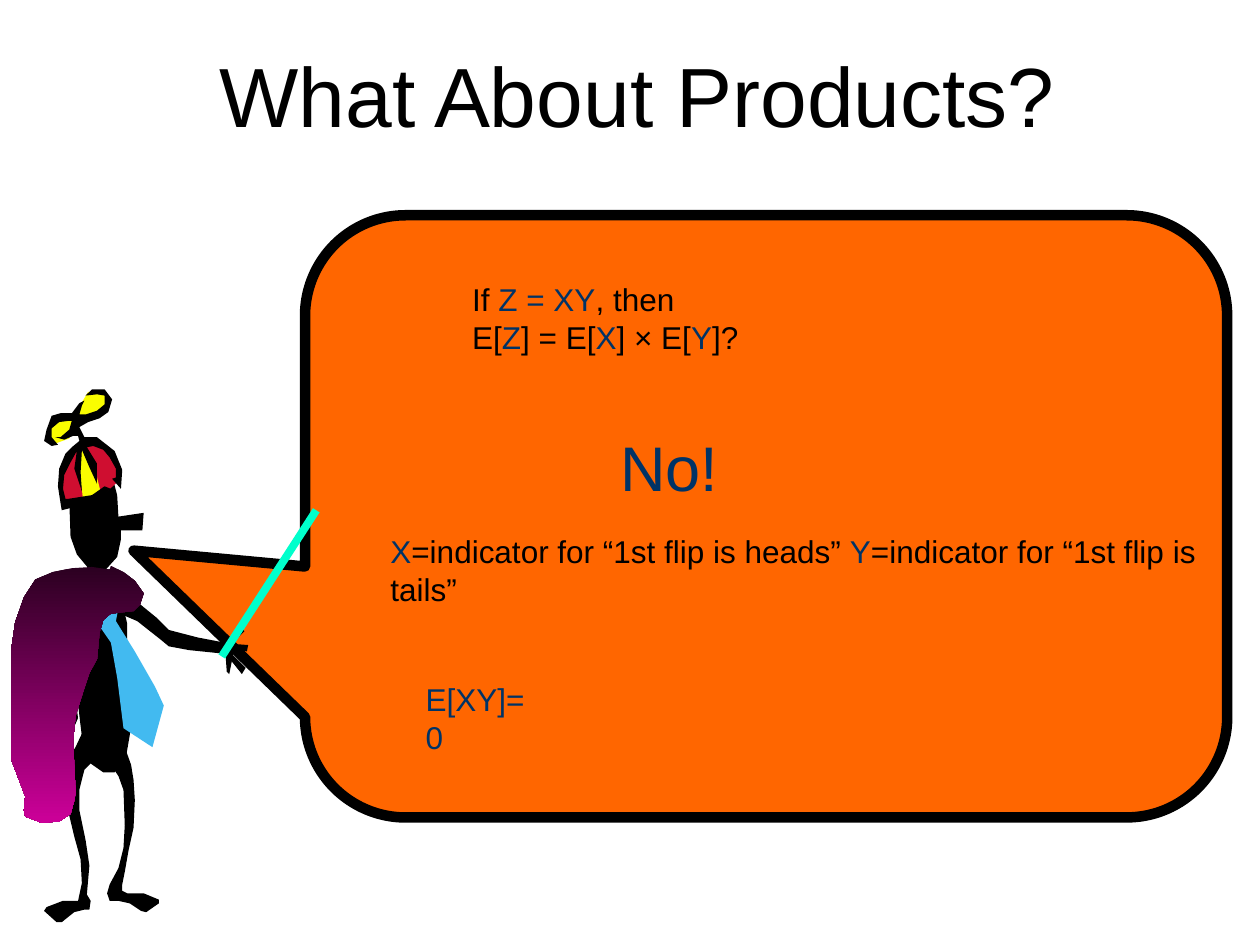
from collections import namedtuple
from dataclasses import dataclass

from lxml.etree import SubElement
from pptx import Presentation
from pptx.dml.color import RGBColor
from pptx.enum.shapes import MSO_CONNECTOR, MSO_SHAPE
from pptx.enum.text import MSO_ANCHOR, MSO_AUTO_SIZE, PP_ALIGN
from pptx.oxml.ns import qn
from pptx.util import Cm, Pt


@dataclass(frozen=True)
class Theme:
    font: str = "Arial"
    head: int = 48
    shout: int = 36
    body: int = 18
    black: str = "000000"
    ink: str = "003366"
    orange: str = "FF6600"
    blue: str = "42BAF0"
    red: str = "CF0E30"
    yellow: str = "FAFD00"
    wand: str = "00FFCC"
    dusk: str = "2B0020"
    pink: str = "CC0099"


THEME = Theme()
Box = namedtuple("Box", "left top width height")

# Outlines on a grid that is 200 units as wide as the figure's box
GRID = 200
HEAD = """94,110 93,93 88,74 80,67 71,67 60,77 55,98 56,126 61,140 71,152 84,152
    93,142 96,128 96,121 113,121 114,107"""
TRUNK = """62,185 66,169 74,166 85,166 96,174 101,195 101,209 105,240 104,278
    100,301 91,313 82,313 72,306 66,292 64,276 62,259 62,216"""
BACK_ARM = """55,178 64,167 71,166 73,171 69,184 63,192 54,197 48,209 41,222 40,232
    42,238 49,250 59,259 61,262 62,270 58,279 51,286 51,300 47,300 45,290 45,280
    50,270 52,267 52,263 45,256 37,247 33,237 30,223 33,215 42,199 49,186"""
FRONT_ARM = """87,170 93,169 108,177 124,190 134,200 157,206 178,210 183,206 191,197
    194,201 184,211 197,212 196,217 186,216 185,220 195,230 192,235 184,225 182,235
    180,233 179,219 150,216 134,213 128,208 109,193 95,187 93,177"""
BACK_LEG = """60,293 68,276 79,283 79,299 75,303 67,311 63,327 63,343 68,367 71,387
    69,410 72,415 71,422 67,422 59,424 49,432 45,432 35,423 37,420 50,415 62,415
    65,401 64,382 59,364 54,343 51,325 51,312 55,301"""
FRONT_LEG = """90,284 99,293 104,307 106,319 107,335 106,357 102,375 99,392 97,402
    97,407 101,409 114,409 126,414 126,417 116,424 112,423 103,417 94,415 87,415
    85,409 87,402 94,389 98,373 99,355 98,327 94,316 88,307 84,293"""
TIE = """92,193 107,217 123,245 130,260 121,293 98,278 93,238 88,210 79,197 69,187
    74,174 89,171 95,177"""
KNOT = "84,198 73,187 74,176 89,174 93,180"
FOLD = "86,200 91,196 124,258 119,287 102,275 98,247 92,217"
CAP = """94,82 94,75 92,65 86,58 78,51 71,51 66,51 60,54 53,65 48,77 48,91 51,101
    66,98 74,97 84,91"""
STRIPE = "80,91 76,75 67,56 64,52 61,71 65,88 66,98 75,98"
BLADES = """62,32 74,31 83,25 87,20 83,12 77,11 70,11 64,21 55,31 48,32 40,38 39,51
    44,52 55,48"""
CAP_EDGE = """96,88 97,73 91,58 77,47 67,47 63,39 70,35 79,32 86,27 89,17 83,9 73,9
    68,14 77,13 83,14 83,21 77,26 68,29 63,29 65,22 67,18 63,20 57,28 48,28 41,30
    37,41 35,50 41,54 46,53 41,47 41,40 47,35 55,34 57,34 55,41 48,47 44,47 51,49
    58,46 62,46 63,50 57,55 52,60 47,72 46,86 48,99 49,105 77,98 88,88 83,86 73,93
    54,96 52,96 50,88 51,77 56,67 61,58 59,72 65,90 64,75 65,57 71,71 77,84 77,68
    69,55 74,54 82,57 87,63 92,72 92,79 89,80"""
CAPE = """87,152 73,150 57,151 42,154 28,160 19,174 12,194 9,215 9,303 20,332 19,343
    20,348 28,351 33,353 47,352 56,346 59,335 60,329 58,288 60,268 66,249 71,234
    77,223 79,202 82,192 88,187 106,185 111,180 114,171 107,161 98,154 88,149"""
PARTS = [
    *((part, THEME.black)
      for part in (HEAD, TRUNK, BACK_ARM, FRONT_ARM, BACK_LEG, FRONT_LEG)),
    *((part, THEME.blue) for part in (TIE, KNOT, FOLD)),
    (CAP, THEME.red),
    (STRIPE, THEME.yellow),
    (BLADES, THEME.yellow),
    (CAP_EDGE, THEME.black),
]


def tint(code):
    return RGBColor.from_string(code)


def paint(item, code):
    item.fill.solid()
    item.fill.fore_color.rgb = tint(code)


def write(shape, text, size, color=THEME.black, wrap=False):
    """Fill a shape with text; parts between asterisks take the ink colour."""
    frame = shape.text_frame
    frame.word_wrap = wrap
    frame.auto_size = MSO_AUTO_SIZE.SHAPE_TO_FIT_TEXT
    frame.vertical_anchor = MSO_ANCHOR.TOP
    para = frame.paragraphs[0]
    para.alignment = PP_ALIGN.LEFT
    para.font.name = THEME.font
    para.font.size = Pt(size)
    para.font.color.rgb = tint(color)
    for i, part in enumerate(text.split("*")):
        for j, line in enumerate(part.split("\n")):
            if j:
                para.add_line_break()
            if line:
                run = para.add_run()
                run.text = line
                if i % 2:
                    run.font.color.rgb = tint(THEME.ink)


def add_title(slide, box):
    title = slide.shapes.title
    title.left, title.top, title.width, title.height = box
    write(title, "What About Products?", THEME.head)


def add_bubble(slide, box):
    shape = slide.shapes.add_shape(MSO_SHAPE.ROUNDED_RECTANGULAR_CALLOUT, *box)
    shape.shadow.inherit = False
    for i, value in enumerate((-0.686, 0.057, 0.167)):
        shape.adjustments[i] = value
    paint(shape, THEME.orange)
    shape.line.color.rgb = tint(THEME.black)
    shape.line.width = Pt(6)


def add_words(slide, box):
    def put(x, y, width, height, *args, **kwargs):
        spot = slide.shapes.add_textbox(
            box.left + Cm(x), box.top + Cm(y), Cm(width), Cm(height))
        write(spot, *args, **kwargs)

    put(3.12, 1.19, 5.87, 1.78,
        "If *Z = XY*, then \nE[*Z*] = E[*X*] × E[*Y*]?", THEME.body)
    put(6.1, 4.17, 2.49, 1.78, "No!", THEME.shout, THEME.ink)
    put(1.47, 6.27, 16.76, 1.78,
        "*X*=indicator for “1st flip is heads” *Y*=indicator for “1st flip is tails”",
        THEME.body, wrap=True)
    put(2.18, 9.25, 2.84, 1.02, "E[XY]=0", THEME.body, THEME.ink)


def add_figure(slide, box):
    unit = box.width / GRID

    def trace(text):
        dots = [tuple(map(int, pair.split(","))) for pair in text.split()]
        pen = slide.shapes.build_freeform(*dots[0], scale=unit)
        pen.add_line_segments(dots[1:], close=True)
        shape = pen.convert_to_shape(box.left, box.top)
        shape.shadow.inherit = False
        shape.line.fill.background()
        return shape

    for part, color in PARTS:
        paint(trace(part), color)

    ends = [(176, 221), (251, 105)]
    spots = [int(start + unit * value) for end in ends
             for start, value in zip((box.left, box.top), end)]
    wand = slide.shapes.add_connector(MSO_CONNECTOR.STRAIGHT, *spots)
    wand.line.color.rgb = tint(THEME.wand)
    wand.line.width = Pt(4.5)
    SubElement(wand._element.spPr, qn("a:effectLst"))

    fill = trace(CAPE).fill
    fill.gradient()
    fill.gradient_angle = 270
    for stop, color, place in zip(fill.gradient_stops, (THEME.dusk, THEME.pink), (0, 1)):
        stop.color.rgb = tint(color)
        stop.position = place


def main():
    deck = Presentation()
    deck.slide_width, deck.slide_height = Cm(25.4), Cm(19.05)
    slide = deck.slides.add_slide(deck.slide_layouts[5])
    bubble = Box(Cm(6.15), Cm(4.34), Cm(18.59), Cm(12.14))
    add_bubble(slide, bubble)
    add_figure(slide, Box(Cm(0), Cm(7.62), Cm(5.08), Cm(11)))
    add_title(slide, Box(Cm(4.17), Cm(0.76), Cm(17.45), Cm(2.29)))
    add_words(slide, bubble)
    deck.save("out.pptx")


if __name__ == "__main__":
    main()
